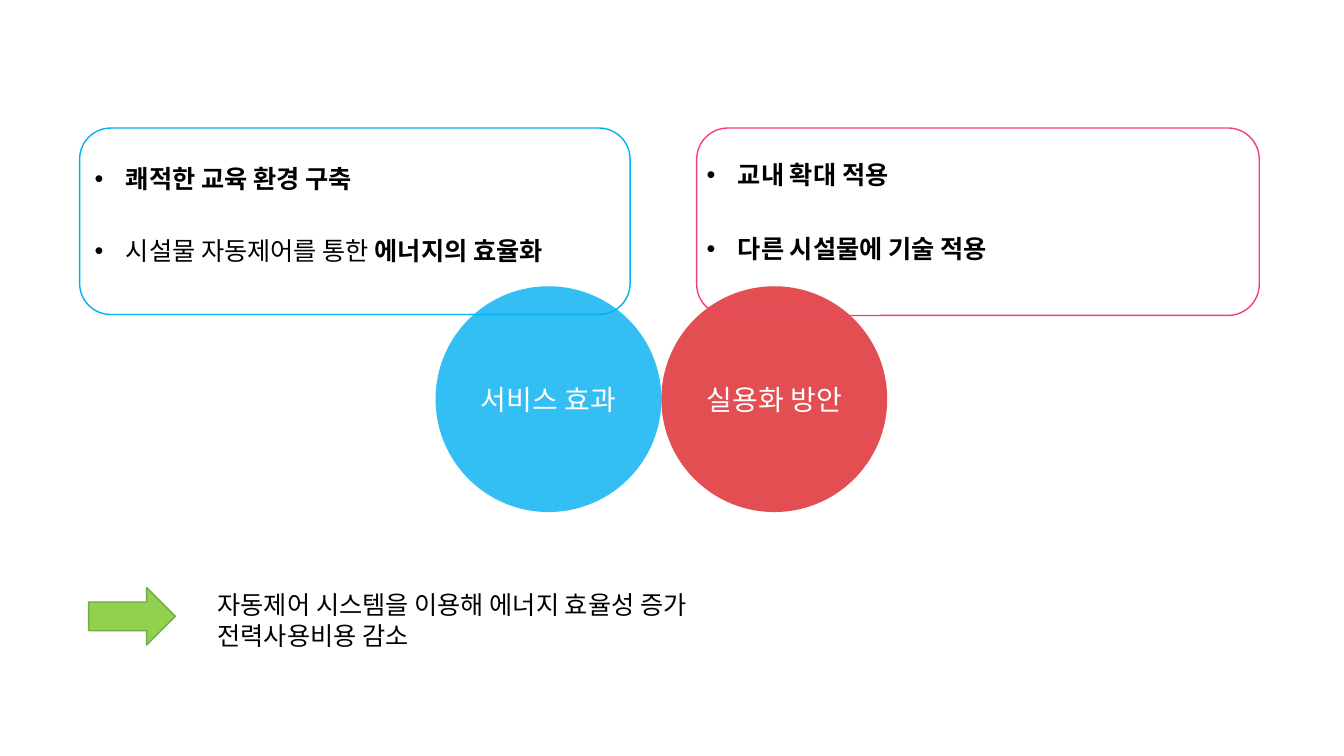
from lxml import etree
from pptx import Presentation
from pptx.dml.color import RGBColor
from pptx.enum.shapes import MSO_SHAPE
from pptx.enum.text import MSO_ANCHOR, PP_ALIGN
from pptx.oxml.ns import qn
from pptx.util import Inches, Pt

FONT = "Noto Sans CJK KR"
BLACK = RGBColor(0x00, 0x00, 0x00)
WHITE = RGBColor(0xFF, 0xFF, 0xFF)
BLUE = RGBColor(0x00, 0xB0, 0xF0)
RED = RGBColor(0xDD, 0x22, 0x29)
PINK = RGBColor(0xF3, 0x3F, 0x77)
GREEN = RGBColor(0x92, 0xD0, 0x50)
DARK_GREEN = RGBColor(0x70, 0xAD, 0x47)
OVAL, FRAME, ARROW = MSO_SHAPE.OVAL, MSO_SHAPE.ROUNDED_RECTANGLE, MSO_SHAPE.RIGHT_ARROW
MIDDLE, CENTER = MSO_ANCHOR.MIDDLE, PP_ALIGN.CENTER

# Each paragraph: (spans of (text, bold), line spacing, points before)
EFFECTS = [
    ([("쾌적한 교육 환경 구축", True)], 1.5, 0),
    ([("시설물 자동제어를 통한 ", False), ("에너지의 효율화", True)], 1.5, 19),
]
PLANS = [
    ([("교내 확대 적용", True)], 1.5, 0),
    ([("다른 시설물에 기술 적용", True)], 1.0, 31.5),
]
RESULTS = [
    ([("자동제어 시스템을 이용해 에너지 효율성 증가", False)], 1.0, 0),
    ([("전력사용비용 감소", False)], 1.0, 0),
]
EFFECT_LABEL, PLAN_LABEL = "서비스 효과", "실용화 방안"

CIRCLE_TOP, DIAMETER = 2.84, 2.24
EFFECT_LEFT = 4.32
PLAN_LEFT = EFFECT_LEFT + DIAMETER
FRAME_TOP = 1.27


def style_span(span, size, color, bold=False):
    span.font.size = Pt(size)
    span.font.bold = bold
    span.font.color.rgb = color
    span.font.name = FONT
    latin = span.font._element.find(qn("a:latin"))
    east_asian = etree.Element(qn("a:ea"), typeface=FONT)
    latin.addnext(east_asian)


def add_text(slide, place, paragraphs, bulleted=False):
    box = slide.shapes.add_textbox(*map(Inches, place))
    frame = box.text_frame
    frame.word_wrap = True
    for index, (spans, spacing, before) in enumerate(paragraphs):
        para = frame.add_paragraph() if index else frame.paragraphs[0]
        if bulleted:
            properties = para._p.get_or_add_pPr()
            properties.set("marL", str(Inches(0.31)))
            properties.set("indent", str(Inches(-0.31)))
            etree.SubElement(properties, qn("a:buFont"), typeface="Arial")
            etree.SubElement(properties, qn("a:buChar"), char="•")
        para.line_spacing = spacing
        para.space_before = Pt(before)
        for text, bold in spans:
            span = para.add_run()
            span.text = text
            style_span(span, 18, BLACK, bold)


def add_figure(slide, kind, place, fill=None, line=None):
    shape = slide.shapes.add_shape(kind, *map(Inches, place))
    shape.shadow.inherit = False
    if fill is None:
        shape.fill.background()
    else:
        shape.fill.solid()
        shape.fill.fore_color.rgb = fill
    if line is None:
        shape.line.fill.background()
    else:
        shape.line.color.rgb = line
        shape.line.width = Pt(1)
    return shape


def add_circle(slide, left, label, color):
    """Add a labelled circle with 80 % opacity."""
    circle = add_figure(slide, OVAL, (left, CIRCLE_TOP, DIAMETER, DIAMETER), color)
    tint = circle._element.spPr.find(qn("a:solidFill"))[0]
    etree.SubElement(tint, qn("a:alpha"), val="80000")
    circle.text_frame.text = label
    circle.text_frame.vertical_anchor = MIDDLE
    para = circle.text_frame.paragraphs[0]
    para.alignment = CENTER
    style_span(para.runs[0], 20, WHITE)


def main():
    deck = Presentation()
    deck.slide_width, deck.slide_height = Inches(13.33), Inches(7.5)
    slide = deck.slides.add_slide(deck.slide_layouts[6])

    add_text(slide, (0.84, 1.42, 5.71, 1.29), EFFECTS, bulleted=True)
    add_text(slide, (6.91, 1.38, 4.8, 1.31), PLANS, bulleted=True)
    add_circle(slide, PLAN_LEFT, PLAN_LABEL, RED)
    add_figure(slide, FRAME, (0.79, FRAME_TOP, 5.46, 1.85), line=BLUE)
    add_circle(slide, EFFECT_LEFT, EFFECT_LABEL, BLUE)
    add_figure(slide, FRAME, (6.91, FRAME_TOP, 5.58, 1.86), line=PINK)
    add_figure(slide, ARROW, (0.88, 5.83, 0.86, 0.57), GREEN, DARK_GREEN)
    add_text(slide, (2.06, 5.8, 8.92, 0.71), RESULTS)

    deck.save("out.pptx")


if __name__ == "__main__":
    main()
